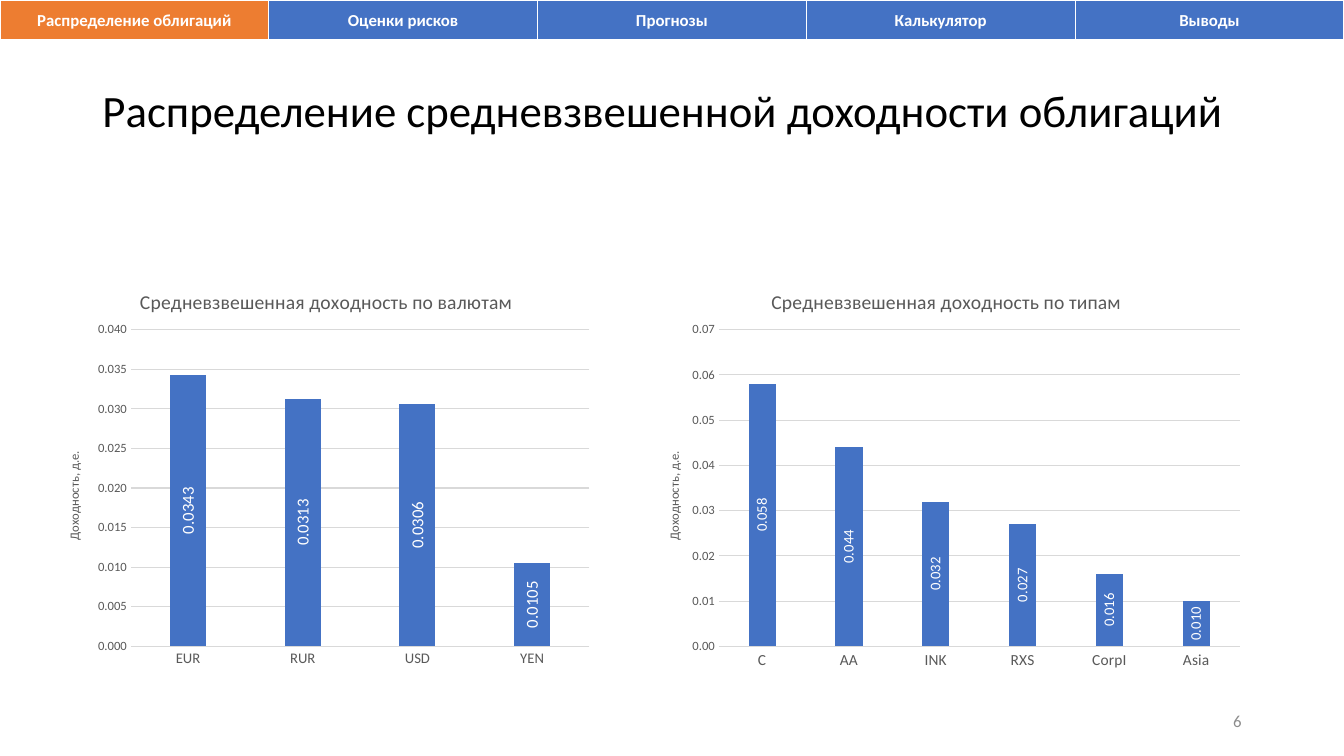
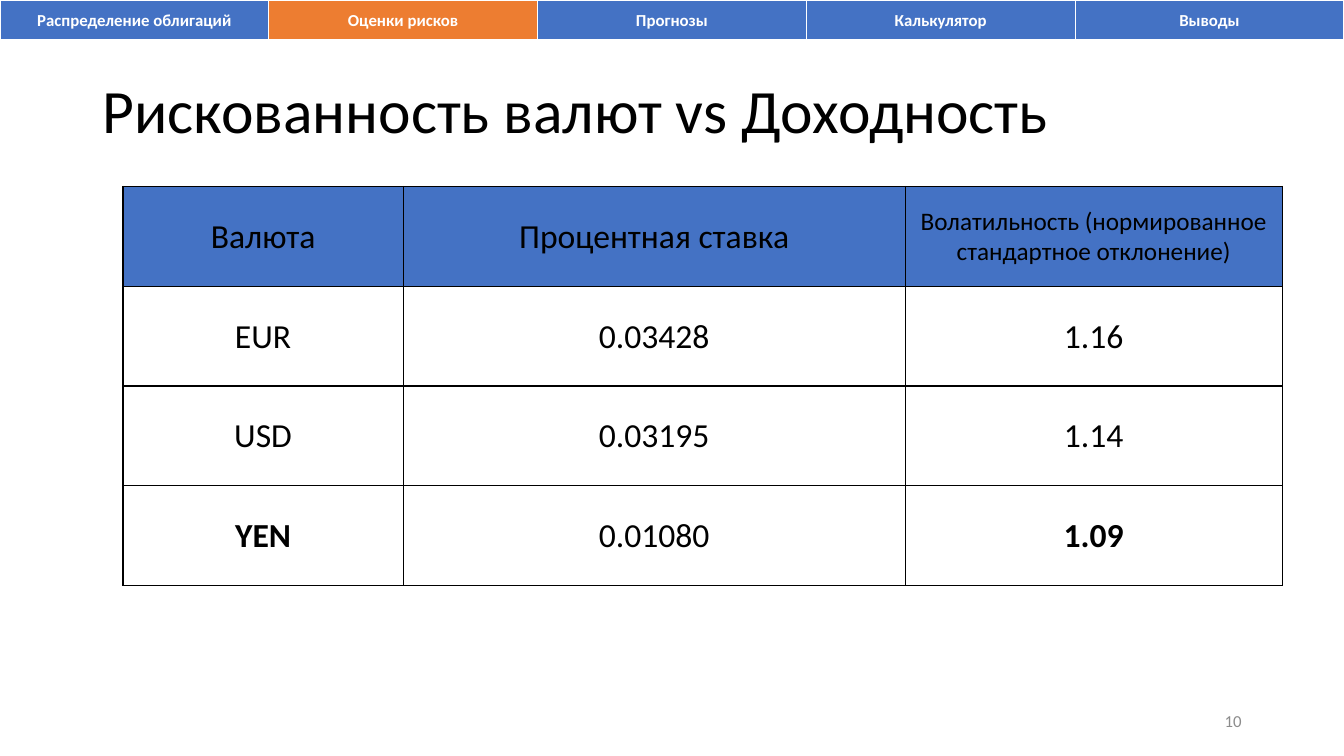
from dataclasses import dataclass
from typing import Any

from lxml import etree
from pptx import Presentation
from pptx.chart.data import CategoryChartData
from pptx.dml.color import RGBColor
from pptx.enum.chart import XL_CHART_TYPE, XL_LABEL_POSITION, XL_TICK_MARK
from pptx.enum.text import MSO_ANCHOR, MSO_AUTO_SIZE, PP_ALIGN
from pptx.oxml.ns import qn
from pptx.util import Emu, Inches, Pt

COLUMN_CHART = XL_CHART_TYPE.COLUMN_CLUSTERED
LABEL_CENTER = XL_LABEL_POSITION.CENTER
NO_TICK = XL_TICK_MARK.NONE
MIDDLE = MSO_ANCHOR.MIDDLE
NO_AUTOFIT = MSO_AUTO_SIZE.NONE
LEFT, CENTER, RIGHT = PP_ALIGN.LEFT, PP_ALIGN.CENTER, PP_ALIGN.RIGHT

# Shared look
FONT = "Calibri"
BLUE, ORANGE = "4472C4", "ED7D31"
WHITE, BLACK = "FFFFFF", "000000"
DARK_GRAY, MID_GRAY, LIGHT_GRAY = "595959", "8C8C8C", "D9D9D9"
UPRIGHT = "-5400000"

# Grid of the slide: 160 columns by 90 rows
GRID_COLUMNS, GRID_ROWS = 160, 90
SLIDE_WIDTH, SLIDE_HEIGHT = Inches(13.33), Inches(7.5)


@dataclass
class Box:
    """A place on the grid, in columns and rows."""
    column: float
    row: float
    columns: float
    rows: float

    def lengths(self) -> tuple[Emu, Emu, Emu, Emu]:
        return across(self.column), down(self.row), across(self.columns), down(self.rows)


@dataclass
class CellText:
    text: str
    size: float = 24
    bold: bool = False
    color: str = BLACK
    fill: str = WHITE


@dataclass
class YieldChart:
    box: Box
    title: str
    values: dict[str, float]
    axis_maximum: float
    axis_step: float
    axis_format: str
    label_format: str
    category_size: float
    label_size: float
    # Places as shares of the chart's size
    title_place: tuple[float, ...]
    axis_title_place: tuple[float, ...]
    plot_place: tuple[float, ...]


@dataclass
class SlidePlan:
    title: str
    title_size: float
    active_section: int
    number: str


SECTIONS = ["Распределение облигаций", "Оценки рисков", "Прогнозы", "Калькулятор", "Выводы"]
NAVIGATION_BOX = Box(0, 0, GRID_COLUMNS, 4.92)
TITLE_BOX = Box(11, 4.8, 138, 17.4)
NUMBER_BOX = Box(113, 83.4, 36, 4.8)

YIELD_PLAN = SlidePlan("Распределение средневзвешенной доходности облигаций", 32, 0, "6")
RISK_PLAN = SlidePlan("Рискованность валют vs Доходность", 44, 1, "10")

YIELD_CHARTS = [
    YieldChart(
        Box(4.92, 31.92, 66.6, 48.96), "Средневзвешенная доходность по валютам",
        {"EUR": 0.0343, "RUR": 0.0313, "USD": 0.0306, "YEN": 0.0105},
        0.04, 0.005, "0.000", "0.0000", 10.5, 12,
        (0.17, 0.04), (0.04, 0.44), (0.16, 0.15, 0.82, 0.77)),
    YieldChart(
        Box(76.08, 31.92, 72.96, 48.96), "Средневзвешенная доходность по типам",
        {"C": 0.058, "AA": 0.044, "INK": 0.032, "RXS": 0.027, "CorpI": 0.016, "Asia": 0.01},
        0.07, 0.01, "0.00", "0.000", 11, 10.5,
        (0.21, 0.04), (0.04, 0.44), (0.13, 0.15, 0.85, 0.77)),
]

RISK_BOX = Box(14.64, 22.2, 138, 47.52)
RISK_COLUMNS = [33.36, 59.76, 44.88]
RISK_CELLS = [
    [CellText("Валюта", fill=BLUE), CellText("Процентная ставка", fill=BLUE),
     CellText("Волатильность (нормированное стандартное отклонение)", 18, fill=BLUE)],
    [CellText("EUR"), CellText("0.03428"), CellText("1.16")],
    [CellText("USD"), CellText("0.03195"), CellText("1.14")],
    [CellText("YEN", bold=True), CellText("0.01080"), CellText("1.09", bold=True)],
]
RISK_MARGINS = {"margin_left": Inches(0.01), "margin_right": Inches(0.01),
                "margin_top": Inches(0.01), "margin_bottom": 0}


# Small helpers
def across(columns: float) -> Emu:
    return Emu(round(SLIDE_WIDTH * columns / GRID_COLUMNS))


def down(rows: float) -> Emu:
    return Emu(round(SLIDE_HEIGHT * rows / GRID_ROWS))


def rgb(value: str) -> RGBColor:
    return RGBColor.from_string(value)


def apply(target: Any, values: dict[str, Any]) -> None:
    for name, value in values.items():
        setattr(target, name, value)


def style_font(font: Any, size: float, color: str, bold: bool = False) -> None:
    apply(font, {"name": FONT, "size": Pt(size), "bold": bold})
    font.color.rgb = rgb(color)


def write_text(frame: Any, text: str, size: float, color: str, alignment: Any,
               bold: bool = False) -> Any:
    paragraph = frame.paragraphs[0]
    paragraph.alignment = alignment
    run = paragraph.add_run()
    run.text = text
    style_font(run.font, size, color, bold)
    return paragraph


# Tables
def add_borders(cell: Any, color: str, widths: dict[str, float]) -> None:
    properties = cell._tc.get_or_add_tcPr()
    for index, (side, width) in enumerate(widths.items()):
        line = etree.Element(qn(f"a:ln{side}"), w=str(Pt(width)))
        fill = etree.SubElement(line, qn("a:solidFill"))
        etree.SubElement(fill, qn("a:srgbClr"), val=color)
        properties.insert(index, line)


def draw_table(slide: Any, box: Box, column_widths: list[float], rows: list[list[CellText]],
               border_color: str, border_widths: dict[str, float],
               margins: dict[str, int]) -> None:
    table = slide.shapes.add_table(len(rows), len(column_widths), *box.lengths()).table
    apply(table, {"first_row": False, "horz_banding": False})
    for column, width in zip(table.columns, column_widths):
        column.width = across(width)
    for row_index, row in enumerate(rows):
        table.rows[row_index].height = down(box.rows / len(rows))
        for column_index, content in enumerate(row):
            cell = table.cell(row_index, column_index)
            apply(cell, {"vertical_anchor": MIDDLE, **margins})
            cell.fill.solid()
            cell.fill.fore_color.rgb = rgb(content.fill)
            write_text(cell.text_frame, content.text, content.size, content.color,
                       CENTER, content.bold)
            add_borders(cell, border_color, border_widths)


# Charts
def place_part(parent: Any, index: int, shares: tuple[float, ...]) -> None:
    """Fix a chart part at shares of the chart's width and height."""
    for layout in parent.findall(qn("c:layout")):
        parent.remove(layout)
    layout = etree.Element(qn("c:layout"))
    manual = etree.SubElement(layout, qn("c:manualLayout"))
    if len(shares) == 4:
        etree.SubElement(manual, qn("c:layoutTarget"), val="inner")
    for name in ("xMode", "yMode"):
        etree.SubElement(manual, qn(f"c:{name}"), val="edge")
    for name, share in zip("xywh", shares):
        etree.SubElement(manual, qn(f"c:{name}"), val=str(share))
    parent.insert(index, layout)


def draw_chart(slide: Any, plan: YieldChart) -> None:
    data = CategoryChartData()
    data.categories = list(plan.values)
    data.add_series("Series 1", list(plan.values.values()))
    chart = slide.shapes.add_chart(COLUMN_CHART, *plan.box.lengths(), data).chart
    apply(chart, {"has_legend": False, "has_title": True})
    style_font(chart.font, 10, BLACK)
    place_part(chart._chartSpace.xpath(".//c:plotArea")[0], 0, plan.plot_place)

    # Axes
    category_axis, value_axis = chart.category_axis, chart.value_axis
    for axis, size in ((category_axis, plan.category_size), (value_axis, 9)):
        apply(axis, {"major_tick_mark": NO_TICK, "minor_tick_mark": NO_TICK})
        style_font(axis.tick_labels.font, size, DARK_GRAY)
    apply(value_axis, {"minimum_scale": 0, "maximum_scale": plan.axis_maximum,
                       "major_unit": plan.axis_step, "has_major_gridlines": True,
                       "has_title": True})
    apply(value_axis.tick_labels, {"number_format": plan.axis_format,
                                   "number_format_is_linked": False})
    value_axis.format.line.fill.background()
    for line in (category_axis.format.line, value_axis.major_gridlines.format.line):
        line.color.rgb = rgb(LIGHT_GRAY)
        line.width = Pt(0.75)

    # Titles
    for title, text, size, place in (
            (chart.chart_title, plan.title, 14, plan.title_place),
            (value_axis.axis_title, "Доходность, д.е.", 9, plan.axis_title_place)):
        write_text(title.text_frame, text, size, DARK_GRAY, CENTER)
        place_part(title._element, 1, place)
    value_axis.axis_title.text_frame._txBody.bodyPr.set("rot", UPRIGHT)

    # Columns and their labels
    plot = chart.plots[0]
    apply(plot, {"gap_width": 219, "overlap": -27, "vary_by_categories": False})
    series = plot.series[0]
    series.format.fill.solid()
    series.format.fill.fore_color.rgb = rgb(BLUE)
    labels = series.data_labels
    apply(labels, {"show_value": True, "position": LABEL_CENTER,
                   "number_format": plan.label_format, "number_format_is_linked": False})
    style_font(labels.font, plan.label_size, WHITE)
    label_body = labels._element.xpath("c:txPr/a:bodyPr")[0]
    for name, value in {"rot": UPRIGHT, "vert": "horz"}.items():
        label_body.set(name, value)


# Parts shared by the slides
def draw_navigation(slide: Any, active_section: int) -> None:
    cells = [CellText(section, 12, True, WHITE, ORANGE if index == active_section else BLUE)
             for index, section in enumerate(SECTIONS)]
    widths = [GRID_COLUMNS / len(SECTIONS)] * len(SECTIONS)
    draw_table(slide, NAVIGATION_BOX, widths, [cells], WHITE,
               {"L": 1, "R": 1, "T": 1, "B": 3}, {})


def draw_title(slide: Any, text: str, size: float) -> None:
    title = slide.shapes.title
    apply(title, dict(zip(("left", "top", "width", "height"), TITLE_BOX.lengths())))
    apply(title.text_frame, {"auto_size": NO_AUTOFIT, "word_wrap": True,
                             "vertical_anchor": MIDDLE})
    write_text(title.text_frame, text, size, BLACK, LEFT).line_spacing = 0.9


def draw_number(slide: Any, number: str) -> None:
    frame = slide.shapes.add_textbox(*NUMBER_BOX.lengths()).text_frame
    apply(frame, {"word_wrap": True, "vertical_anchor": MIDDLE})
    write_text(frame, number, 12, MID_GRAY, RIGHT)


def add_slide(presentation: Any, plan: SlidePlan) -> Any:
    slide = presentation.slides.add_slide(presentation.slide_layouts.get_by_name("Title Only"))
    draw_title(slide, plan.title, plan.title_size)
    draw_navigation(slide, plan.active_section)
    draw_number(slide, plan.number)
    return slide


def main() -> None:
    presentation = Presentation()
    apply(presentation, {"slide_width": SLIDE_WIDTH, "slide_height": SLIDE_HEIGHT})

    # Yield by currency and by type
    yield_slide = add_slide(presentation, YIELD_PLAN)
    for chart_plan in YIELD_CHARTS:
        draw_chart(yield_slide, chart_plan)

    # Currency risk against yield
    risk_slide = add_slide(presentation, RISK_PLAN)
    draw_table(risk_slide, RISK_BOX, RISK_COLUMNS, RISK_CELLS, BLACK,
               dict.fromkeys("LRTB", 1), RISK_MARGINS)

    presentation.save("out.pptx")


main()
